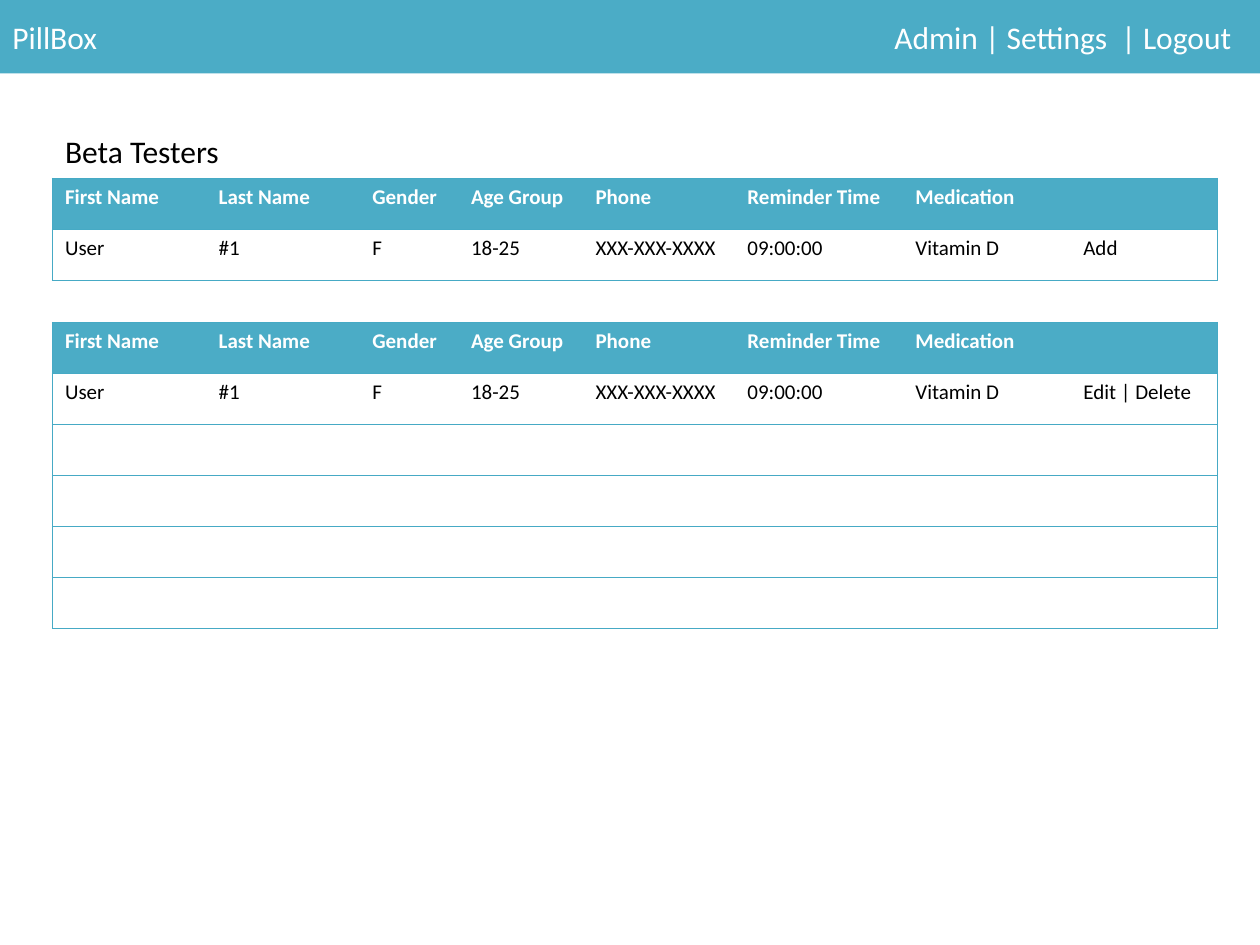
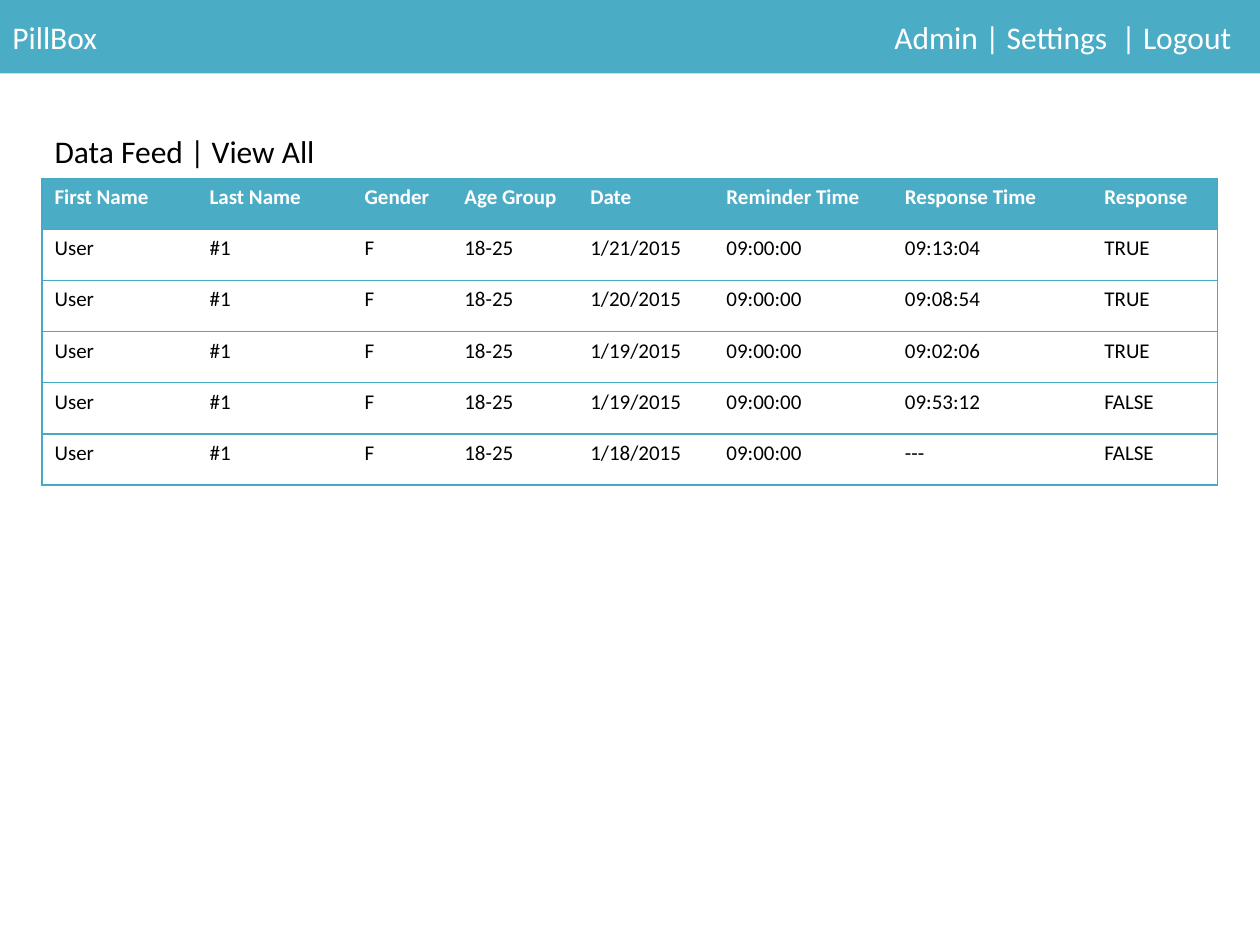
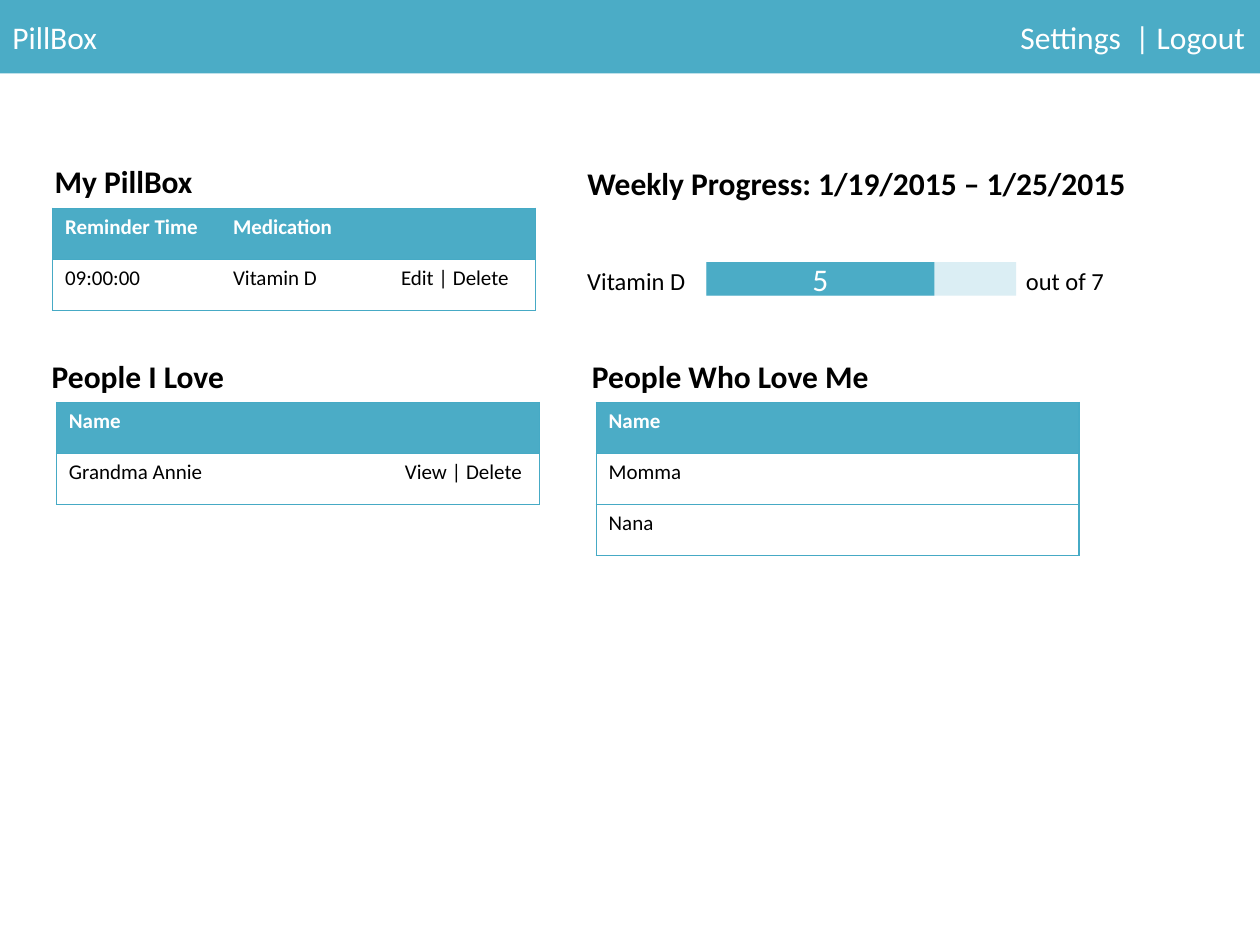
from lxml import etree
from pptx import Presentation
from pptx.dml.color import RGBColor
from pptx.enum.shapes import MSO_SHAPE
from pptx.enum.text import MSO_ANCHOR, MSO_AUTO_SIZE, PP_ALIGN
from pptx.oxml.ns import qn
from pptx.util import Pt

COLORS = {"teal": "4BACC6", "border": "46AAC5", "pale": "DBEEF4",
          "white": "FFFFFF", "black": "000000"}
FONT = "Calibri"
NO_STYLE = "{2D5ABB26-0587-4C30-8999-92F81FD0307C}"
ROW_HEIGHT = 29.2
SLIDE_WIDTH, SLIDE_HEIGHT, BAR_HEIGHT = 720, 540, 42

ADMIN_NAV = ("Admin | Settings  | Logout", 504)
USER_NAV = ("Settings  | Logout", 576)

TESTER_HEAD = ["First Name", "Last Name", "Gender", "Age Group", "Phone",
               "Reminder Time", "Medication", ""]
TESTER = ["User", "#1", "F", "18-25", "XXX-XXX-XXXX", "09:00:00", "Vitamin D"]
TESTER_COLS = [87.8, 87.8, 56.4, 71.2, 86.8, 96, 96, 84]
FEED_HEAD = TESTER_HEAD[:4] + ["Date", "Reminder Time", "Response Time", "Response"]
FEED_COLS = [88.6, 88.6, 57, 72, 77.8, 102, 114, 72]
FEED = [("1/21/2015", "09:13:04", "TRUE"),
        ("1/20/2015", "09:08:54", "TRUE"),
        ("1/19/2015", "09:02:06", "TRUE"),
        ("1/19/2015", "09:53:12", "FALSE"),
        ("1/18/2015", "---", "FALSE")]
NAME_COLS = [192, 84]

# title and headings: (text, left, top, width); tables: (left, top, columns, rows)
PAGES = [
    {"nav": ADMIN_NAV, "bold": False,
     "title": ("Beta Testers", 30, 72, 103),
     "headings": [],
     "tables": [
         (30, 102, TESTER_COLS, [TESTER_HEAD, TESTER + ["Add"]]),
         (30, 184.2, TESTER_COLS,
          [TESTER_HEAD, TESTER + ["Edit | Delete"]] + [[""] * 8] * 4)]},
    {"nav": ADMIN_NAV, "bold": False,
     "title": ("Data Feed | View All", 24, 72, 165),
     "headings": [],
     "tables": [
         (24, 102, FEED_COLS,
          [FEED_HEAD] + [TESTER[:4] + [date, "09:00:00", time, response]
                         for date, time, response in FEED])]},
    {"nav": USER_NAV, "bold": True,
     "title": ("My PillBox", 24, 89.2, 94.5),
     "headings": [
         ("Weekly Progress: 1/19/2015 – 1/25/2015", 328.5, 90.2, 325.5),
         ("People I Love", 22.5, 200.4, 114),
         ("People Who Love Me", 331.2, 200.4, 174)],
     "tables": [
         (30, 119, [96, 96, 84],
          [["Reminder Time", "Medication", ""],
           ["09:00:00", "Vitamin D", "Edit | Delete"]]),
         (32.2, 230, NAME_COLS,
          [["Name", ""], ["Grandma Annie", "View | Delete"]]),
         (340.6, 230, NAME_COLS, [["Name", ""], ["Momma", ""], ["Nana", ""]])],
     "progress": {"left": 403.6, "top": 149.8, "height": 19.2,
                  "week": 177.1, "taken": 130.3, "count": "5",
                  "labels": [("Vitamin D", 328.5, 75), ("out of 7", 579.2, 75)]}},
]


def rgb(name):
    return RGBColor.from_string(COLORS[name])


def write(frame, text, size, color="black", bold=False):
    frame.text = text
    paragraph = frame.paragraphs[0]
    font = paragraph.font
    font.name, font.size, font.bold = FONT, Pt(size), bold
    font.color.rgb = rgb(color)
    return paragraph


def place(shape, left, top, width, height):
    shape.left, shape.top = Pt(left), Pt(top)
    shape.width, shape.height = Pt(width), Pt(height)


def add_bar(slide, left, top, width, height, color):
    bar = slide.shapes.add_shape(MSO_SHAPE.RECTANGLE, Pt(left), Pt(top),
                                 Pt(width), Pt(height))
    bar.shadow.inherit = False
    bar.fill.solid()
    bar.fill.fore_color.rgb = rgb(color)
    bar.line.fill.background()
    return bar


def add_header(slide, nav, tab):
    """Draw the top band, with the navigation at a tab stop."""
    band = add_bar(slide, 0, 0, SLIDE_WIDTH, BAR_HEIGHT, "teal")
    paragraph = write(band.text_frame, f"PillBox\t{nav}", 18, "white")
    paragraph.alignment = PP_ALIGN.LEFT
    stops = etree.Element(qn("a:tabLst"))
    etree.SubElement(stops, qn("a:tab"), pos=str(Pt(tab)), algn="l")
    paragraph._p.pPr.find(qn("a:defRPr")).addprevious(stops)


def set_heading(shape, text, left, top, width, bold):
    place(shape, left, top, width, 29)
    frame = shape.text_frame
    write(frame, text, 18, bold=bold).alignment = PP_ALIGN.LEFT
    frame.word_wrap = False
    frame.auto_size = MSO_AUTO_SIZE.SHAPE_TO_FIT_TEXT
    frame.vertical_anchor = MSO_ANCHOR.TOP


def set_borders(cell, sides):
    properties = cell._tc.get_or_add_tcPr()
    for index, side in enumerate(sides):
        line = etree.Element(qn(f"a:ln{side}"), w=str(Pt(0.75)))
        fill = etree.SubElement(line, qn("a:solidFill"))
        etree.SubElement(fill, qn("a:srgbClr"), val=COLORS["border"])
        properties.insert(index, line)


def add_grid(slide, left, top, columns, rows):
    frame = slide.shapes.add_table(len(rows), len(columns), Pt(left), Pt(top),
                                   Pt(sum(columns)), Pt(ROW_HEIGHT * len(rows)))
    table = frame.table
    table._tbl.tblPr.find(qn("a:tableStyleId")).text = NO_STYLE
    table.horz_banding = False
    for column, width in zip(table.columns, columns):
        column.width = Pt(width)
    for r, values in enumerate(rows):
        table.rows[r].height = Pt(ROW_HEIGHT)
        is_head = r == 0
        for c, value in enumerate(values):
            cell = table.cell(r, c)
            write(cell.text_frame, value, 12, "white" if is_head else "black", is_head)
            cell.fill.solid()
            cell.fill.fore_color.rgb = rgb("teal" if is_head else "white")
            outer = ["L"] * (c == 0) + ["R"] * (c == len(columns) - 1)
            set_borders(cell, outer + ["T", "B"])


def add_progress(slide, left, top, height, week, taken, count, labels):
    add_bar(slide, left, top, week, height, "pale")
    done = add_bar(slide, left, top, taken, height, "teal")
    write(done.text_frame, count, 18, "white").alignment = PP_ALIGN.CENTER
    for text, label_left, width in labels:
        label = slide.shapes.add_textbox(Pt(label_left), Pt(top - 1.6),
                                         Pt(width), Pt(24.4))
        write(label.text_frame, text, 14)
        label.text_frame.word_wrap = False


def main():
    deck = Presentation()
    deck.slide_width, deck.slide_height = Pt(SLIDE_WIDTH), Pt(SLIDE_HEIGHT)
    title_only = deck.slide_layouts[5]
    for page in PAGES:
        slide = deck.slides.add_slide(title_only)
        add_header(slide, *page["nav"])
        set_heading(slide.shapes.title, *page["title"], page["bold"])
        for heading in page["headings"]:
            box = slide.shapes.add_textbox(0, 0, 0, 0)
            set_heading(box, *heading, page["bold"])
        for grid in page["tables"]:
            add_grid(slide, *grid)
        if "progress" in page:
            add_progress(slide, **page["progress"])
    deck.save("out.pptx")


if __name__ == "__main__":
    main()
